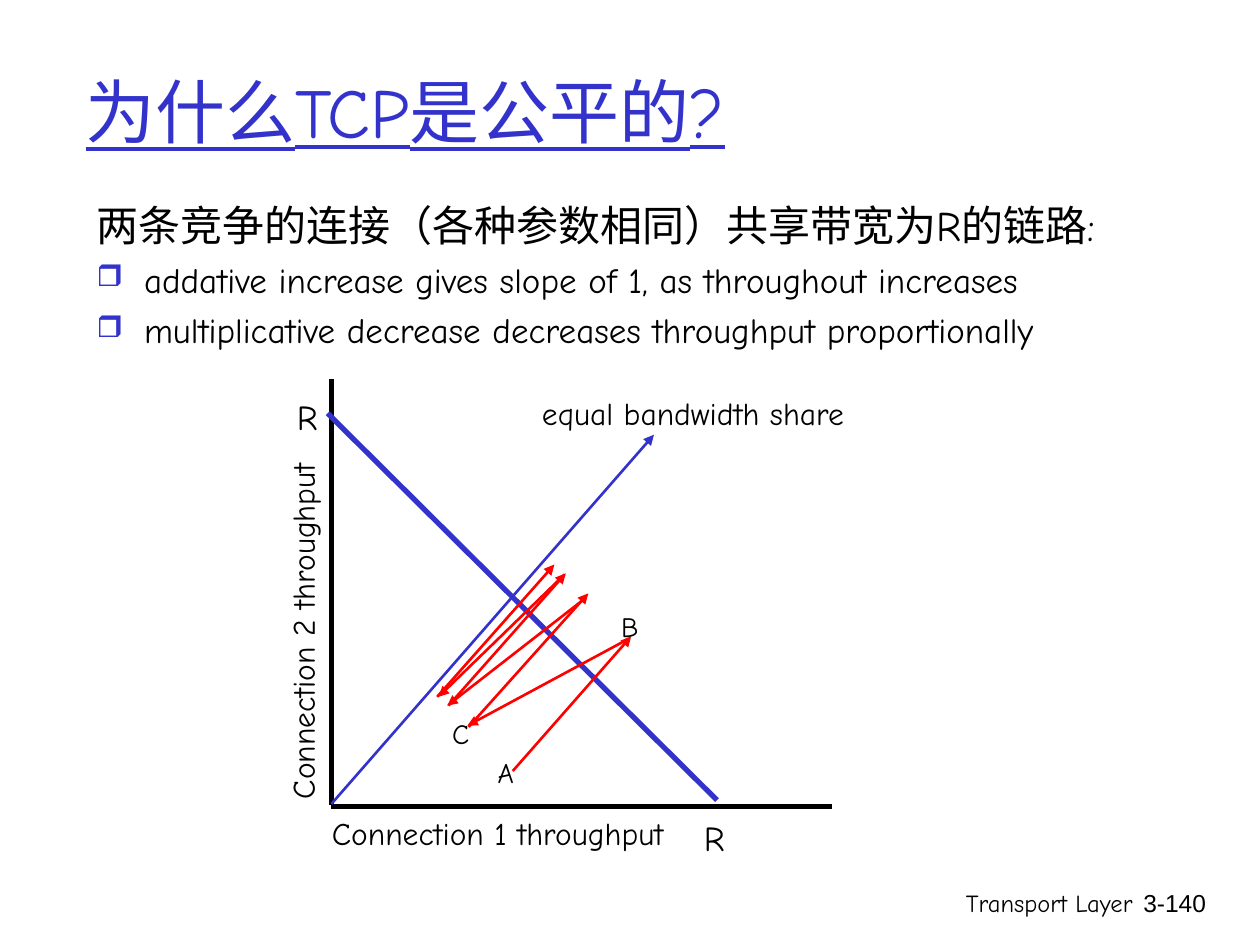
from lxml import etree
from pptx import Presentation, util as u
from pptx.dml.color import RGBColor
from pptx.enum import shapes, text
from pptx.oxml import ns

Pt = u.Pt
COLORS = {"ink": "000000", "blue": "3333CC", "red": "FF0000"}
FONT = "Comic Neue"
CENTER, RIGHT = text.PP_ALIGN.CENTER, text.PP_ALIGN.RIGHT

# Throughput path from A to B to C and onward: (start, arrow tip)
STEPS = [
    ((293, 440.6), (360.7, 363.6)),
    ((359.3, 365), (267.1, 414.7)),
    ((267.8, 415.4), (336.2, 339.1)),
    ((333.4, 342.7), (255.6, 403.2)),
    ((256.3, 403.2), (323.3, 327.6)),
    ((322.6, 328.3), (250.6, 398.2)),
    ((249.8, 398.2), (316.8, 322.6)),
]


def apply(target, values):
    for name, value in values.items():
        setattr(target, name, value)


def color(name):
    return RGBColor.from_string(COLORS[name])


def fill_paragraph(paragraph, content, size, ink="ink", font=FONT,
                   underline=None, **layout):
    apply(paragraph, layout)
    run = paragraph.add_run()
    run.text = content
    apply(run.font, {"name": font, "size": Pt(size), "underline": underline})
    run.font.color.rgb = color(ink)


def add_frame(slide, box, wrap=True, anchor=text.MSO_ANCHOR.TOP, rotation=0):
    shape = slide.shapes.add_textbox(*map(Pt, box))
    shape.rotation = rotation
    apply(shape.text_frame, {"word_wrap": wrap, "vertical_anchor": anchor})
    return shape.text_frame


def add_label(slide, content, box, size, alignment=CENTER, wrap=True,
              rotation=0, **style):
    frame = add_frame(slide, box, wrap, rotation=rotation)
    fill_paragraph(frame.paragraphs[0], content, size, alignment=alignment,
                   **style)


def add_line(slide, start, end, ink, width, arrow=False):
    line = slide.shapes.add_connector(
        shapes.MSO_CONNECTOR.STRAIGHT, *map(Pt, start + end))
    line.line.color.rgb = color(ink)
    line.line.width = Pt(width)
    if arrow:
        outline = line.line._get_or_add_ln()
        etree.SubElement(outline, ns.qn("a:tailEnd"), type="triangle")
    etree.SubElement(line._element.spPr, ns.qn("a:effectLst"))


def set_indent(paragraph, bullet=None):
    properties = paragraph._p.get_or_add_pPr()
    indent = Pt(27)
    properties.set("marL", str(indent))
    properties.set("indent", str(-indent))
    if bullet:
        bullet_color = etree.SubElement(properties, ns.qn("a:buClr"))
        etree.SubElement(bullet_color, ns.qn("a:srgbClr"), val=COLORS["blue"])
        etree.SubElement(properties, ns.qn("a:buSzPct"), val="85000")
        etree.SubElement(properties, ns.qn("a:buChar"), char=bullet)
    else:
        etree.SubElement(properties, ns.qn("a:buNone"))


def add_body(slide):
    frame = add_frame(slide, (48.2, 110.2, 653.8, 365.8))
    lines = [
        ("两条竞争的连接（各种参数相同）共享带宽为R的链路:", 24, 6, None),
        ("addative increase gives slope of 1, as throughout increases",
         20, 5, "❒"),
        ("multiplicative decrease decreases throughput proportionally",
         20, 5, "❒"),
    ]
    for index, (content, size, before, bullet) in enumerate(lines):
        paragraph = frame.add_paragraph() if index else frame.paragraphs[0]
        fill_paragraph(paragraph, content, size, space_before=Pt(before))
        set_indent(paragraph, bullet)


def add_graph(slide):
    # Axes, equal share line and full bandwidth line
    add_line(slide, (189.4, 460.8), (475.2, 460.8), "ink", 3)
    add_line(slide, (189.4, 460), (189.4, 216.7), "ink", 3)
    add_line(slide, (189.4, 459.4), (373.7, 248.4), "blue", 1.5, arrow=True)
    add_line(slide, (187.2, 236.2), (409.7, 457.2), "blue", 3)

    # Axis and line labels
    for left, top in ((159.8, 222.5), (392.4, 463)):
        add_label(slide, "R", (left, top, 31.7, 31.7), 20,
                  space_before=Pt(12.5))
    for content, left, top, rotation in (
            ("equal bandwidth share", 256.3, 221.8, 0),
            ("Connection 1 throughput", 144.7, 461.5, 0),
            ("Connection 2 throughput", 33.1, 346.3, 270)):
        add_label(slide, content, (left, top, 279.4, 28.8), 18,
                  rotation=rotation, space_before=Pt(11.2))

    # Increase and decrease steps
    for start, tip in STEPS:
        add_line(slide, start, tip, "red", 1.5, arrow=True)
    for content, left, top, width in (
            ("A", 277.2, 428.4, 15.1),
            ("B", 347.8, 344.9, 20.2),
            ("C", 251.3, 406.1, 14.4)):
        add_label(slide, content, (left, top, width, 26.6), 16, wrap=False)


def main():
    presentation = Presentation()
    apply(presentation, {"slide_width": Pt(720), "slide_height": Pt(540)})
    slide = presentation.slides.add_slide(presentation.slide_layouts[6])

    # Footer
    add_label(slide, "Transport Layer", (426.2, 504, 228.2, 36), 14, RIGHT)
    add_label(slide, "3-140", (643, 504, 53.3, 36), 14, RIGHT, font="Arial")

    # Title and body
    title = add_frame(slide, (41.8, 18, 612, 90),
                      anchor=text.MSO_ANCHOR.MIDDLE)
    fill_paragraph(title.paragraphs[0], "为什么TCP是公平的?", 40, "blue",
                   underline=True)
    add_body(slide)

    add_graph(slide)
    presentation.save("out.pptx")


if __name__ == "__main__":
    main()
